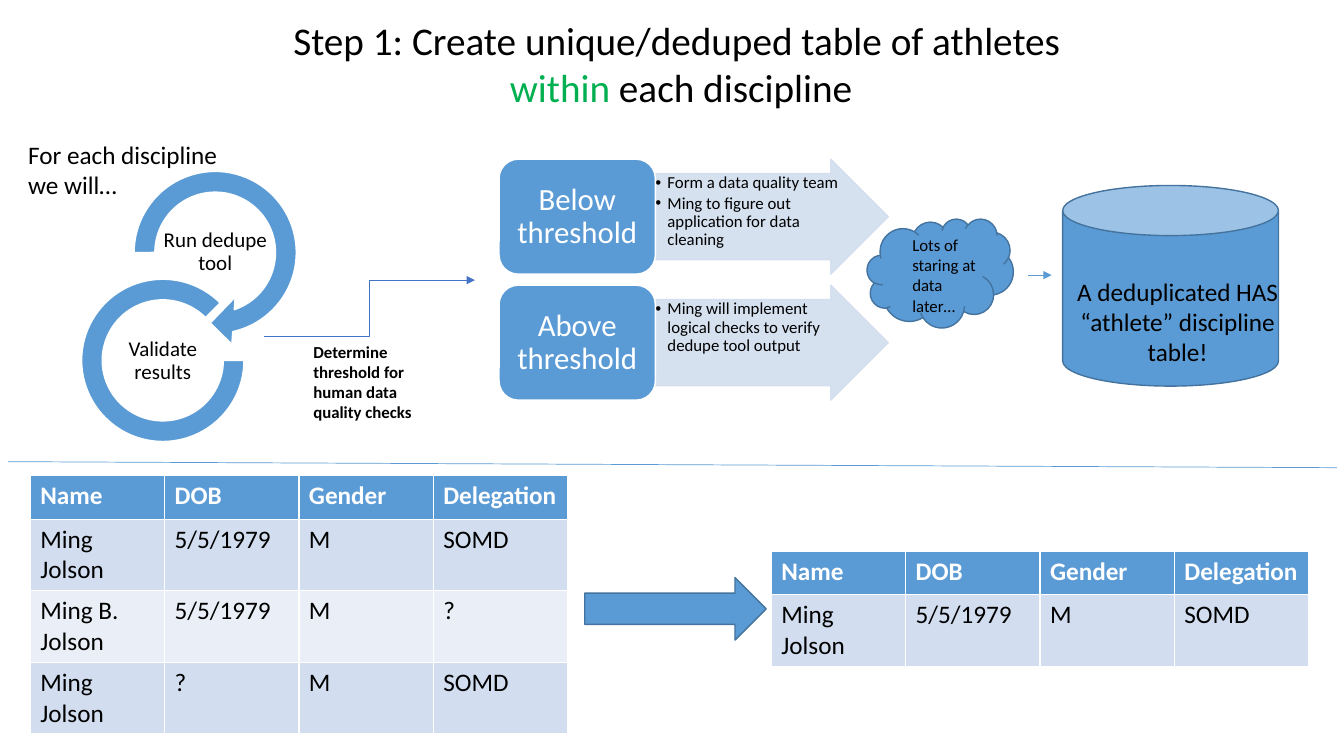
from lxml import etree
from pptx import Presentation
from pptx.dml.color import RGBColor
from pptx.enum.shapes import MSO_CONNECTOR as Connector, MSO_SHAPE as Shape
from pptx.enum.text import MSO_ANCHOR as Anchor, MSO_AUTO_SIZE as AutoSize, PP_ALIGN as Align
from pptx.oxml.ns import qn
from pptx.util import Inches, Pt

BLUE, DARK_BLUE, PALE_BLUE, PALER_BLUE = "5B9BD5", "43739E", "D2DEEF", "EAEFF7"
BLACK, WHITE, GREEN, LINK_BLUE = "000000", "FFFFFF", "00B050", "4472C4"
FONT = "Calibri"
HEADER = ["Name", "DOB", "Gender", "Delegation"]
CLEAN_ROW = ["Ming Jolson", "5/5/1979", "M", "SOMD"]
THRESHOLDS = [
    ("Below threshold", 1.58,
     ["Form a data quality team", "Ming to figure out application for data cleaning"]),
    ("Above threshold", 2.83,
     ["Ming will implement logical checks to verify dedupe tool output"]),
]


def set_all(target, values):
    for name, value in values.items():
        setattr(target, name, value)


def set_color(color_format, value):
    color_format.rgb = RGBColor.from_string(value)


def set_alpha(fill_parent, percent):
    color = fill_parent.find(qn("a:solidFill"))[0]
    etree.SubElement(color, qn("a:alpha"), val=str(percent * 1000))


def place(shape, box):
    set_all(shape, dict(zip(("left", "top", "width", "height"), map(Inches, box))))


def format_frame(frame, inset=(0.1, 0.05), anchor=Anchor.TOP):
    across, down = map(Inches, inset)
    set_all(frame, {
        "word_wrap": True, "auto_size": AutoSize.NONE, "vertical_anchor": anchor,
        "margin_left": across, "margin_right": across,
        "margin_top": down, "margin_bottom": down,
    })


def add_run(paragraph, text, size, color=BLACK, bold=False):
    run = paragraph.add_run()
    run.text = text
    set_all(run.font, {"name": FONT, "size": Pt(size), "bold": bold})
    set_color(run.font.color, color)


def write_text(shape, text, size, color=BLACK, bold=False, align=Align.LEFT,
               spacing=1.0, **frame_format):
    format_frame(shape.text_frame, **frame_format)
    paragraph = shape.text_frame.paragraphs[0]
    set_all(paragraph, {"alignment": align, "line_spacing": spacing})
    add_run(paragraph, text, size, color, bold)


def add_label(slide, box, text, size, **text_format):
    label = slide.shapes.add_textbox(*map(Inches, box))
    write_text(label, text, size, **text_format)


def add_block(slide, kind, box, fill=BLUE, line=DARK_BLUE, adjustments=()):
    shape = slide.shapes.add_shape(kind, *map(Inches, box))
    shape.shadow.inherit = False
    shape.fill.solid()
    set_color(shape.fill.fore_color, fill)
    set_color(shape.line.color, line)
    shape.line.width = Pt(1)
    for index, value in enumerate(adjustments):
        shape.adjustments[index] = value
    return shape


def add_line(slide, kind, start, end, color=BLUE, arrow=True):
    line = slide.shapes.add_connector(kind, *map(Inches, start + end))
    set_color(line.line.color, color)
    line.line.width = Pt(0.5)
    if arrow:
        etree.SubElement(line.line._get_or_add_ln(), qn("a:tailEnd"), type="triangle")
    etree.SubElement(line.element.spPr, qn("a:effectLst"))


def add_records(slide, left, top, records):
    rows = [HEADER] + records
    frame = slide.shapes.add_table(len(rows), len(HEADER), Inches(left), Inches(top),
                                   Inches(5.33), Inches(0.43 * len(rows)))
    for row_index, row in enumerate(rows):
        is_header = row_index == 0
        fill = BLUE if is_header else (PALER_BLUE, PALE_BLUE)[row_index % 2]
        for column_index, text in enumerate(row):
            cell = frame.table.cell(row_index, column_index)
            cell.fill.solid()
            set_color(cell.fill.fore_color, fill)
            add_run(cell.text_frame.paragraphs[0], text, 18,
                    WHITE if is_header else BLACK, is_header)


def fill_title(title):
    place(title, (0.3, 0.11, 12.91, 1.04))
    format_frame(title.text_frame)
    first = title.text_frame.paragraphs[0]
    second = title.text_frame.add_paragraph()
    add_run(first, "Step 1: Create unique/deduped table of athletes ", 28)
    add_run(second, "within", 28, GREEN)
    add_run(second, " each discipline", 28)
    for paragraph in (first, second):
        paragraph.alignment = Align.CENTER


def fill_list(placeholder, box, items):
    place(placeholder, box)
    frame = placeholder.text_frame
    format_frame(frame, inset=(0.01, 0.01))
    for index, item in enumerate(items):
        paragraph = frame.add_paragraph() if index else frame.paragraphs[0]
        add_run(paragraph, item, 12)
        set_all(paragraph, {"line_spacing": 0.9, "space_before": Pt(0), "space_after": Pt(1.8)})
        properties = paragraph._p.get_or_add_pPr()
        properties.set("marL", str(Inches(0.12)))
        properties.set("indent", str(Inches(-0.12)))


def add_threshold(slide, placeholder, name, top, items):
    arrow = add_block(slide, Shape.RIGHT_ARROW, (6.49, top, 2.32, 1.14),
                      PALE_BLUE, PALE_BLUE, (0.75, 0.5))
    set_alpha(arrow.element.spPr, 90)
    set_alpha(arrow.line._get_or_add_ln(), 90)
    fill_list(placeholder, (6.49, top + 0.14, 1.89, 0.86), items)
    placeholder.element.addprevious(arrow.element)  # arrow goes behind its list
    box = add_block(slide, Shape.ROUNDED_RECTANGLE, (4.95, top, 1.55, 1.14), line=WHITE)
    write_text(box, name, 22, WHITE, align=Align.CENTER, spacing=0.9,
               inset=(0.09, 0.05), anchor=Anchor.MIDDLE)


def add_cycle(slide):
    add_block(slide, Shape.CIRCULAR_ARROW, (1.2, 1.57, 1.87, 1.87), line=WHITE,
              adjustments=(0.11, 11.42, 45, 108, 0.125))
    add_block(slide, Shape.BLOCK_ARC, (0.81, 2.77, 1.61, 1.61), line=WHITE,
              adjustments=(0, 189, 0.127))
    for left, top, step in ((1.61, 2.24, "Run dedupe tool"), (1.09, 3.32, "Validate results")):
        add_label(slide, (left, top, 1.05, 0.52), step, 15, align=Align.CENTER,
                  spacing=0.9, inset=(0.01, 0.01), anchor=Anchor.MIDDLE)


def main():
    presentation = Presentation()
    set_all(presentation, {"slide_width": Inches(13.33), "slide_height": Inches(7.5)})
    slide = presentation.slides.add_slide(presentation.slide_layouts.get_by_name("Two Content"))
    title, *lists = slide.placeholders
    fill_title(title)

    # Dedupe cycle and the link to the thresholds
    add_cycle(slide)
    add_label(slide, (0.18, 1.33, 2.18, 0.71), "For each discipline we will…", 18)
    add_line(slide, Connector.ELBOW, (2.62, 3.34), (4.71, 2.78), LINK_BLUE)
    add_label(slide, (3.01, 3.34, 1.27, 1.11),
              "Determine threshold for human data quality checks", 12, bold=True)

    # Threshold branches
    for placeholder, (name, top, items) in zip(lists, THRESHOLDS):
        add_threshold(slide, placeholder, name, top, items)

    # Resulting table store
    add_block(slide, Shape.CAN, (10.54, 1.84, 2.14, 1.99))
    add_label(slide, (10.54, 2.69, 2.28, 1.31),
              "A deduplicated HAS “athlete” discipline table!", 18, align=Align.CENTER)
    add_block(slide, Shape.CLOUD, (8.6, 2.17, 1.45, 1.08))
    add_label(slide, (8.95, 2.28, 0.9, 1.11), "Lots of staring at data later…", 12)
    add_line(slide, Connector.STRAIGHT, (10.2, 2.73), (10.43, 2.73))

    # Example records before and after
    add_line(slide, Connector.STRAIGHT, (0.08, 4.58), (13.26, 4.64), arrow=False)
    add_records(slide, 0.3, 4.72, [CLEAN_ROW,
                                   ["Ming B. Jolson", "5/5/1979", "M", "?"],
                                   ["Ming Jolson", "?", "M", "SOMD"]])
    add_block(slide, Shape.RIGHT_ARROW, (5.8, 5.73, 1.8, 0.62))
    add_records(slide, 7.65, 5.47, [CLEAN_ROW])

    presentation.save("out.pptx")


if __name__ == "__main__":
    main()
